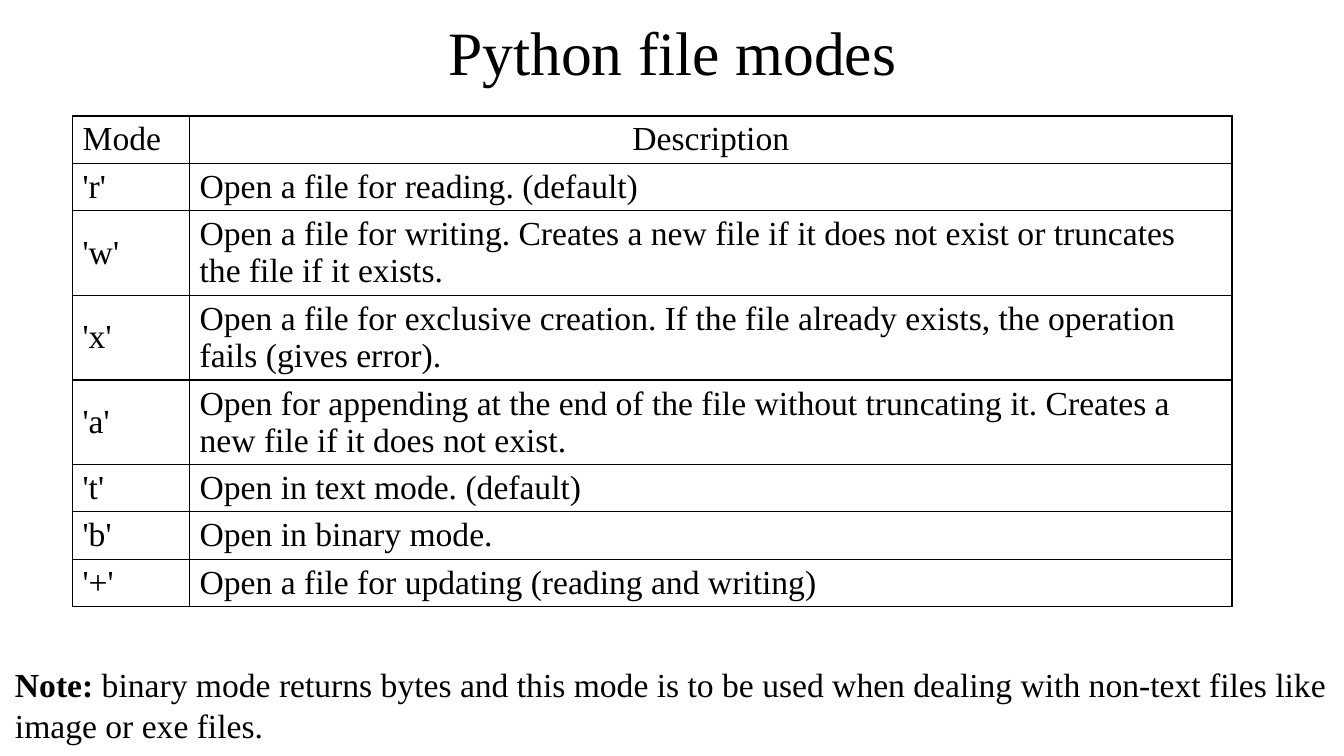
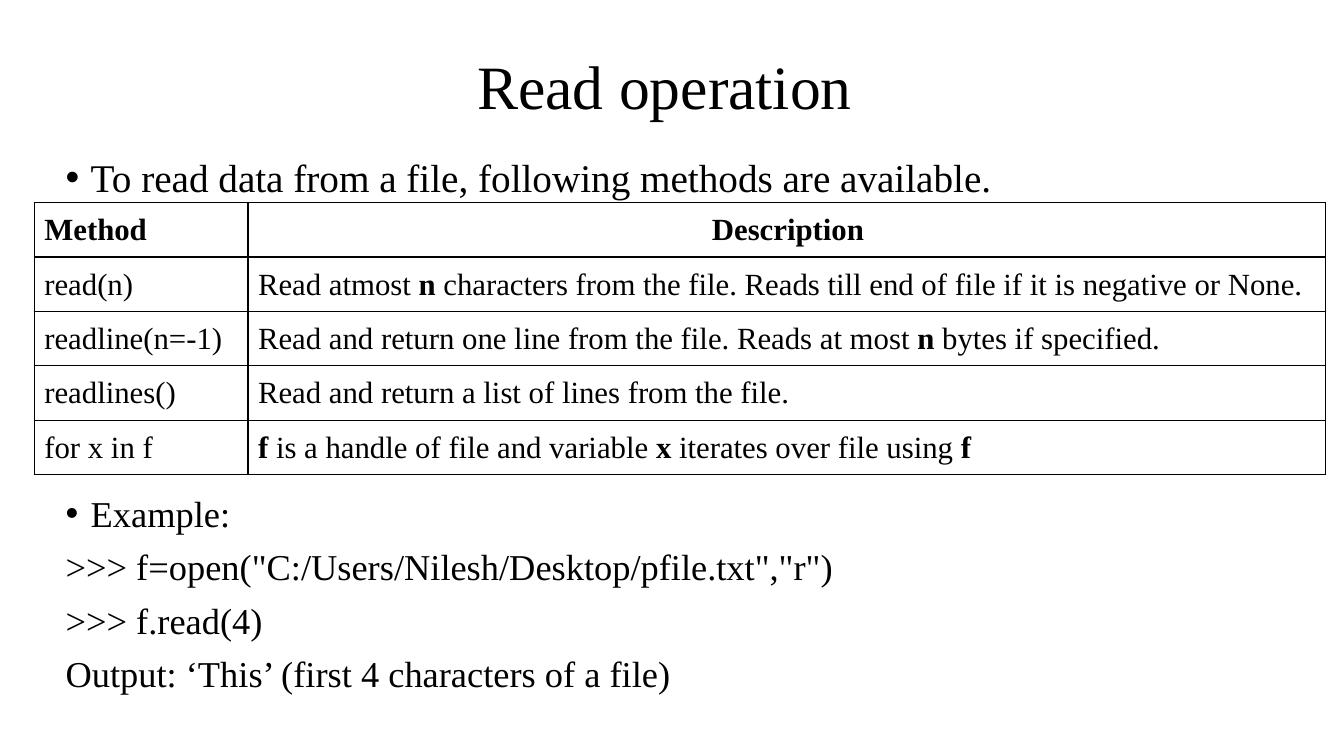
from dataclasses import dataclass

from lxml import etree
from pptx import Presentation
from pptx.dml.color import RGBColor
from pptx.enum import text as t
from pptx.oxml import ns
from pptx.util import Inches, Pt


@dataclass(frozen=True)
class Theme:
    font: str = "Times New Roman"
    ink: RGBColor = RGBColor(0, 0, 0)
    paper: RGBColor = RGBColor(255, 255, 255)
    title: int = 44
    lead: int = 28
    body: int = 26
    mode_table: int = 24
    method_table: int = 22
    note: int = 24
    border: int = 1


THEME = Theme()
BOLD = "*"

MODES = [
    ("Mode", "Description"),
    ("'r'", "Open a file for reading. (default)"),
    ("'w'", "Open a file for writing. Creates a new file if it does not exist or truncates the file if it exists."),
    ("'x'", "Open a file for exclusive creation. If the file already exists, the operation fails (gives error)."),
    ("'a'", "Open for appending at the end of the file without truncating it. Creates a new file if it does not exist."),
    ("'t'", "Open in text mode. (default)"),
    ("'b'", "Open in binary mode."),
    ("'+'", "Open a file for updating (reading and writing)"),
]
NOTE = ("*Note: *binary mode returns bytes and this mode is to be used when "
        "dealing with non-text files like image or exe files.")

METHODS = [
    ("*Method*", "*Description*"),
    ("read(n)", "Read atmost *n* characters from the file. Reads till end of file if it is negative or None."),
    ("readline(n=-1)", "Read and return one line from the file. Reads at most *n* bytes if specified."),
    ("readlines()", "Read and return a list of lines from the file."),
    ("for x in f", "*f* is a handle of file and variable *x *iterates over file using *f*"),
]
TABLE_GAP = 211
READ_STEPS = [
    ("To read data from a file, following methods are available.", True, THEME.lead, 30, 10),
    ("Example:", True, THEME.body, 28, TABLE_GAP),
    ('>>> f=open("C:/Users/Nilesh/Desktop/pfile.txt","r")', False, THEME.body, 28, 10),
    (">>> f.read(4)", False, THEME.body, 28, 10),
    ("Output: ‘This’ (first 4 characters of a file)", False, THEME.body, 28, 10),
]


def place(shape, left, top, width, height):
    shape.left, shape.top = Inches(left), Inches(top)
    shape.width, shape.height = Inches(width), Inches(height)


def write(p, marked, size):
    for i, part in enumerate(marked.split(BOLD)):
        if part:
            r = p.add_run()
            r.text = part
            r.font.name = THEME.font
            r.font.size = Pt(size)
            r.font.bold = i % 2 == 1
            r.font.color.rgb = THEME.ink


def set_bullet(p, bulleted):
    pPr = p._p.get_or_add_pPr()
    indent = Inches(0.25) if bulleted else 0
    pPr.set("marL", str(indent))
    pPr.set("indent", str(-indent))
    if bulleted:
        etree.SubElement(pPr, ns.qn("a:buFont"), typeface="Arial")
        etree.SubElement(pPr, ns.qn("a:buChar"), char="•")
    else:
        etree.SubElement(pPr, ns.qn("a:buNone"))


def set_borders(cell):
    tcPr = cell._tc.get_or_add_tcPr()
    for i, side in enumerate(("lnL", "lnR", "lnT", "lnB")):
        ln = etree.Element(ns.qn(f"a:{side}"), w=str(Pt(THEME.border)))
        fill = etree.SubElement(ln, ns.qn("a:solidFill"))
        etree.SubElement(fill, ns.qn("a:srgbClr"), val=str(THEME.ink))
        tcPr.insert(i, ln)


def add_titled_slide(prs, layout, title, top, height):
    s = prs.slides.add_slide(prs.slide_layouts[layout])
    place(s.shapes.title, 0.92, top, 11.5, height)
    tf = s.shapes.title.text_frame
    tf.auto_size = t.MSO_AUTO_SIZE.NONE
    tf.vertical_anchor = t.MSO_ANCHOR.MIDDLE
    p = tf.paragraphs[0]
    p.alignment = t.PP_ALIGN.CENTER
    p.line_spacing = 0.9
    write(p, title, THEME.title)
    return s


def add_grid(s, rows, left, top, col_widths, row_heights, size, margins):
    frame = s.shapes.add_table(len(rows), len(col_widths), Inches(left), Inches(top),
                               Inches(sum(col_widths)), Inches(sum(row_heights)))
    table = frame.table
    table.first_row = table.horz_banding = False
    for column, width in zip(table.columns, col_widths):
        column.width = Inches(width)
    for i, (row, height) in enumerate(zip(rows, row_heights)):
        table.rows[i].height = Inches(height)
        for j, marked in enumerate(row):
            cell = table.cell(i, j)
            cell.margin_left, cell.margin_top, cell.margin_right, cell.margin_bottom = map(Inches, margins)
            cell.vertical_anchor = t.MSO_ANCHOR.MIDDLE
            cell.fill.solid()
            cell.fill.fore_color.rgb = THEME.paper
            set_borders(cell)
            p = cell.text_frame.paragraphs[0]
            p.alignment = t.PP_ALIGN.CENTER if (i, j) == (0, 1) else t.PP_ALIGN.LEFT
            write(p, marked, size)


def build_modes(prs):
    s = add_titled_slide(prs, 5, "Python file modes", 0.06, 0.99)
    heights = [0.84 if len(description) > 75 else 0.47 for _, description in MODES]
    add_grid(s, MODES, 0.72, 1.15, (1.16, 10.34), heights,
             THEME.mode_table, (0.1, 0.05, 0.1, 0.05))
    note = s.shapes.add_textbox(Inches(0.05), Inches(6.53), Inches(13.22), Inches(0.91))
    tf = note.text_frame
    tf.word_wrap = True
    p = tf.paragraphs[0]
    p.line_spacing = Pt(29.3)
    write(p, NOTE, THEME.note)


def build_read(prs):
    s = add_titled_slide(prs, 1, "Read operation ", 0.4, 0.97)
    body = s.placeholders[1]
    place(body, 0.55, 1.52, 11.86, 5.98)
    tf = body.text_frame
    tf.auto_size = t.MSO_AUTO_SIZE.NONE
    for i, (line, bulleted, size, leading, before) in enumerate(READ_STEPS):
        p = tf.add_paragraph() if i else tf.paragraphs[0]
        p.line_spacing = Pt(leading)
        p.space_before = Pt(before)
        set_bullet(p, bulleted)
        write(p, line, size)
    add_grid(s, METHODS, 0.34, 2.01, (2.12, 10.69), [0.54] * len(METHODS),
             THEME.method_table, (0.1, 0.1, 0.08, 0.09))


def main():
    prs = Presentation()
    prs.slide_width, prs.slide_height = Inches(13.33), Inches(7.5)
    build_modes(prs)
    build_read(prs)
    prs.save("out.pptx")


if __name__ == "__main__":
    main()
